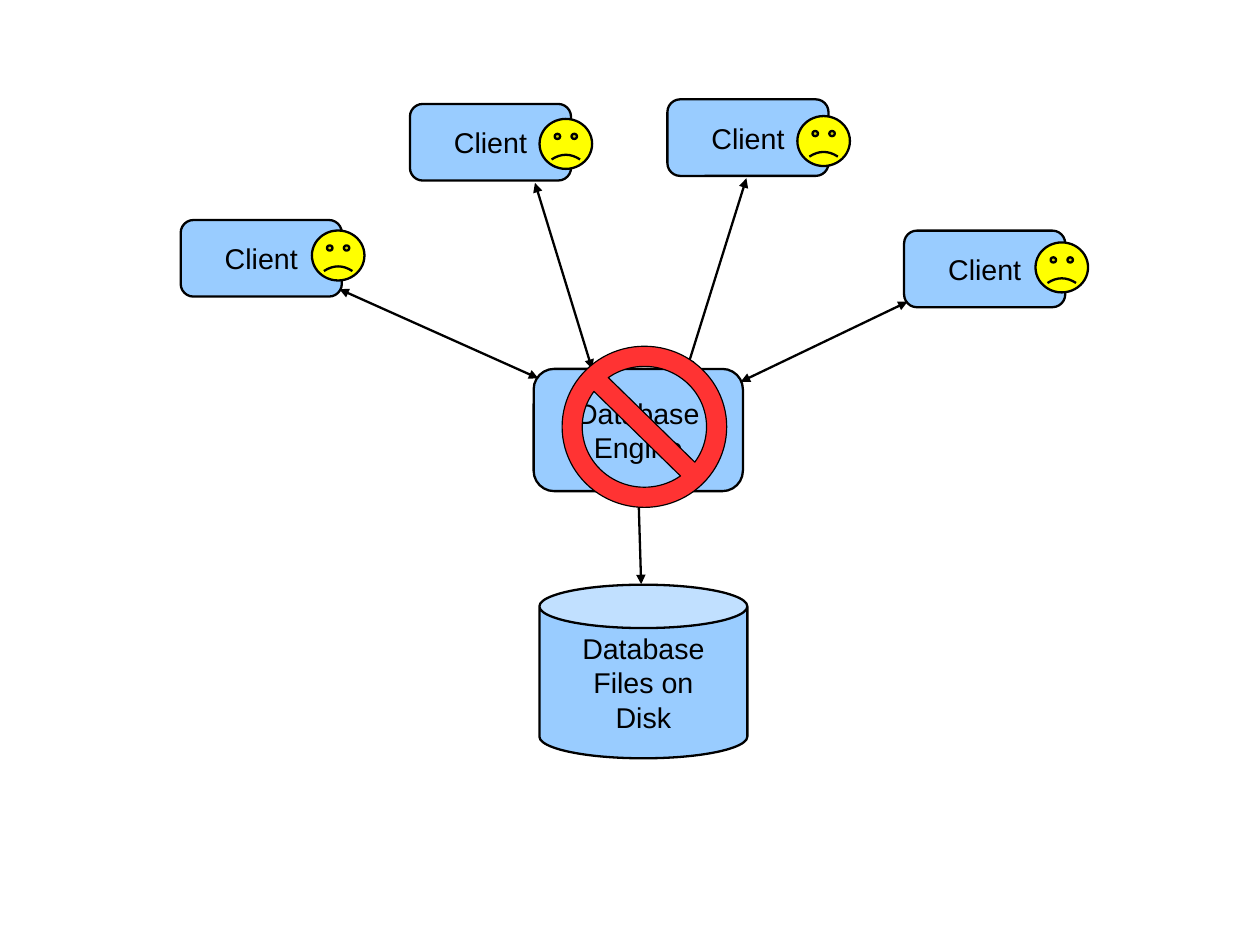
from lxml.etree import SubElement
from pptx import Presentation
from pptx.dml.color import RGBColor
from pptx.enum.shapes import MSO_CONNECTOR, MSO_SHAPE as Preset
from pptx.enum.text import MSO_ANCHOR, PP_ALIGN
from pptx.oxml.ns import qn
from pptx.util import Pt

BLACK = RGBColor(0x00, 0x00, 0x00)
SKY = RGBColor(0x99, 0xCC, 0xFF)
YELLOW = RGBColor(0xFF, 0xFF, 0x00)
RED = RGBColor(0xFF, 0x33, 0x33)

CLIENT_WIDTH, CLIENT_HEIGHT = 101.5, 48.25
FACE_WIDTH, FACE_HEIGHT = 33.1, 31.5


class Diagram:
    font = "Arial"
    text_size = 18
    line_width = 1.45

    def __init__(self, slide):
        self.shapes = slide.shapes

    def figure(self, preset, left, top, width, height, fill,
               adjust, line_width=line_width):
        figure = self.shapes.add_shape(
            preset, Pt(left), Pt(top), Pt(width), Pt(height))
        figure.adjustments[0] = adjust
        figure.shadow.inherit = False
        figure.fill.solid()
        figure.fill.fore_color.rgb = fill
        figure.line.color.rgb = BLACK
        figure.line.width = Pt(line_width)
        return figure

    def node(self, preset, left, top, width, height, adjust, *lines):
        """Draw a blue shape with one centred paragraph per text line."""
        node = self.figure(preset, left, top, width, height, SKY, adjust)
        frame = node.text_frame
        frame.word_wrap = False
        frame.vertical_anchor = MSO_ANCHOR.MIDDLE
        frame.margin_left = frame.margin_right = Pt(7.9)
        frame.margin_top = frame.margin_bottom = Pt(4.3)
        for index, line in enumerate(lines):
            paragraph = frame.add_paragraph() if index else frame.paragraphs[0]
            paragraph.alignment = PP_ALIGN.CENTER
            run = paragraph.add_run()
            run.text = line
            run.font.name = self.font
            run.font.size = Pt(self.text_size)
            run.font.color.rgb = BLACK
        return node

    def sad_face(self, left, top):
        self.figure(Preset.SMILEY_FACE, left, top, FACE_WIDTH, FACE_HEIGHT,
                    YELLOW, -0.04653)

    def two_way_arrow(self, start, end):
        arrow = self.shapes.add_connector(
            MSO_CONNECTOR.STRAIGHT, *(Pt(value) for value in (*start, *end)))
        arrow.line.color.rgb = BLACK
        arrow.line.width = Pt(self.line_width)
        line = arrow.line._get_or_add_ln()
        for tip in ("a:headEnd", "a:tailEnd"):
            SubElement(line, qn(tip), type="triangle")
        SubElement(line.getparent(), qn("a:effectLst"))
        return arrow


def main():
    presentation = Presentation()
    presentation.slide_width = Pt(793.7)
    presentation.slide_height = Pt(595.28)
    diagram = Diagram(
        presentation.slides.add_slide(presentation.slide_layouts[6]))

    diagram.node(Preset.CAN, 339.8, 368.3, 131, 109.4, 0.25,
                 "Database", "Files on", "Disk")
    engine = diagram.node(Preset.ROUNDED_RECTANGLE, 336.2, 232.4, 131.8, 77,
                          0.167, "Database", "Engine")

    # Client corner, face corner, arrow end at client, arrow end at engine
    clients = [
        ((113.8, 138.6), (196.5, 145.2), (213.8, 182.2), (339.1, 238.3)),
        ((258.2, 65.5), (339.9, 74.9), (337, 115.2), (373, 232.4)),
        ((420.4, 62.6), (502.3, 73.1), (470.2, 112.3), (432.7, 232.4)),
        ((569.5, 145.3), (652.3, 152.7), (571.7, 190.1), (466.6, 240.5)),
    ]
    for corner, *_ in clients:
        diagram.node(Preset.ROUNDED_RECTANGLE, *corner,
                     CLIENT_WIDTH, CLIENT_HEIGHT, 0.167, "Client")
    for _, _, client_end, engine_end in clients:
        diagram.two_way_arrow(client_end, engine_end)
    disk_link = diagram.two_way_arrow((402.1, 309.4), (403.9, 368))
    disk_link.begin_connect(engine, 2)

    for _, face_corner, *_ in clients:
        diagram.sad_face(*face_corner)
    diagram.figure(Preset.NO_SYMBOL, 354.1, 218.1, 103.7, 101.5, RED,
                   0.125, line_width=0)

    presentation.save("out.pptx")


if __name__ == "__main__":
    main()
